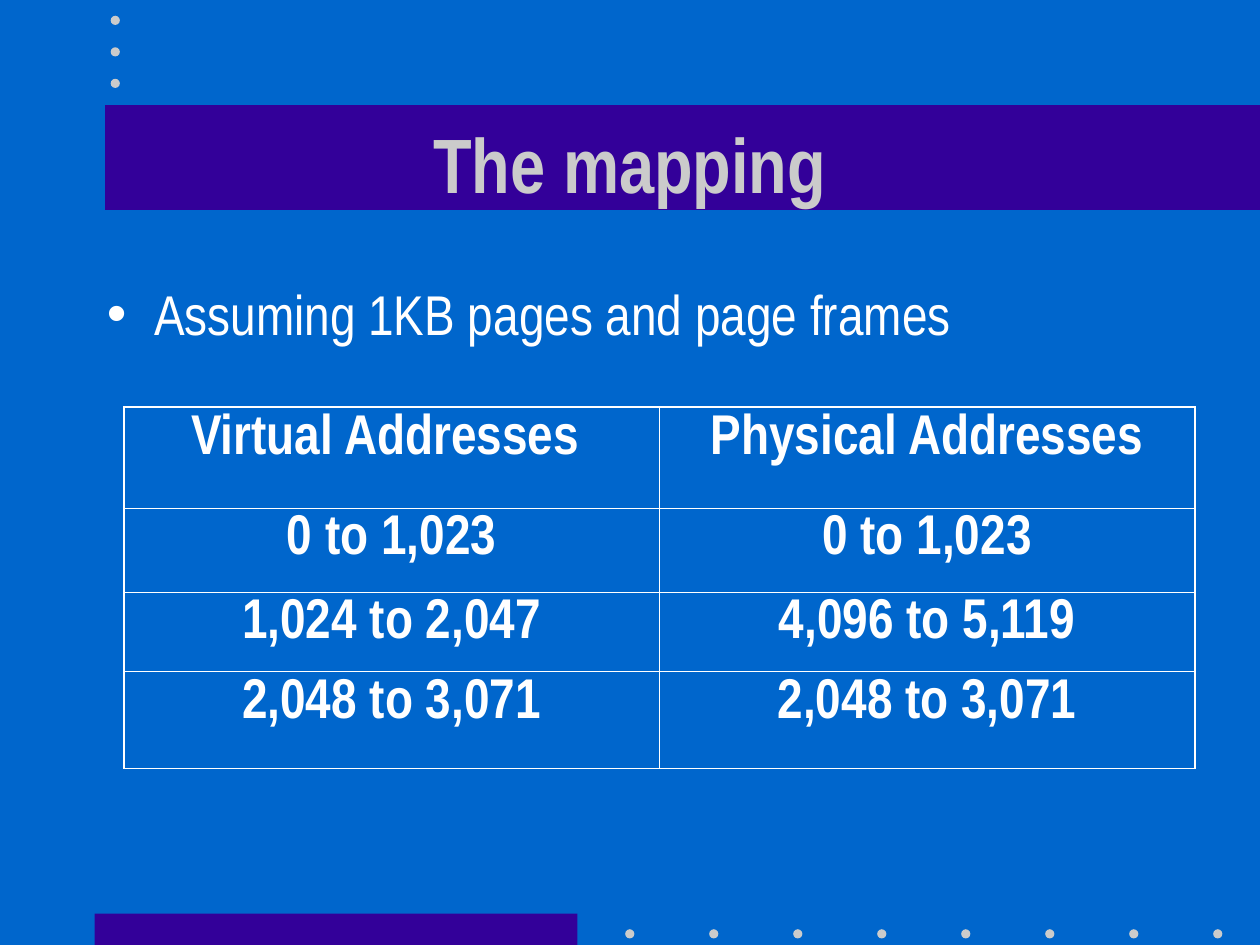
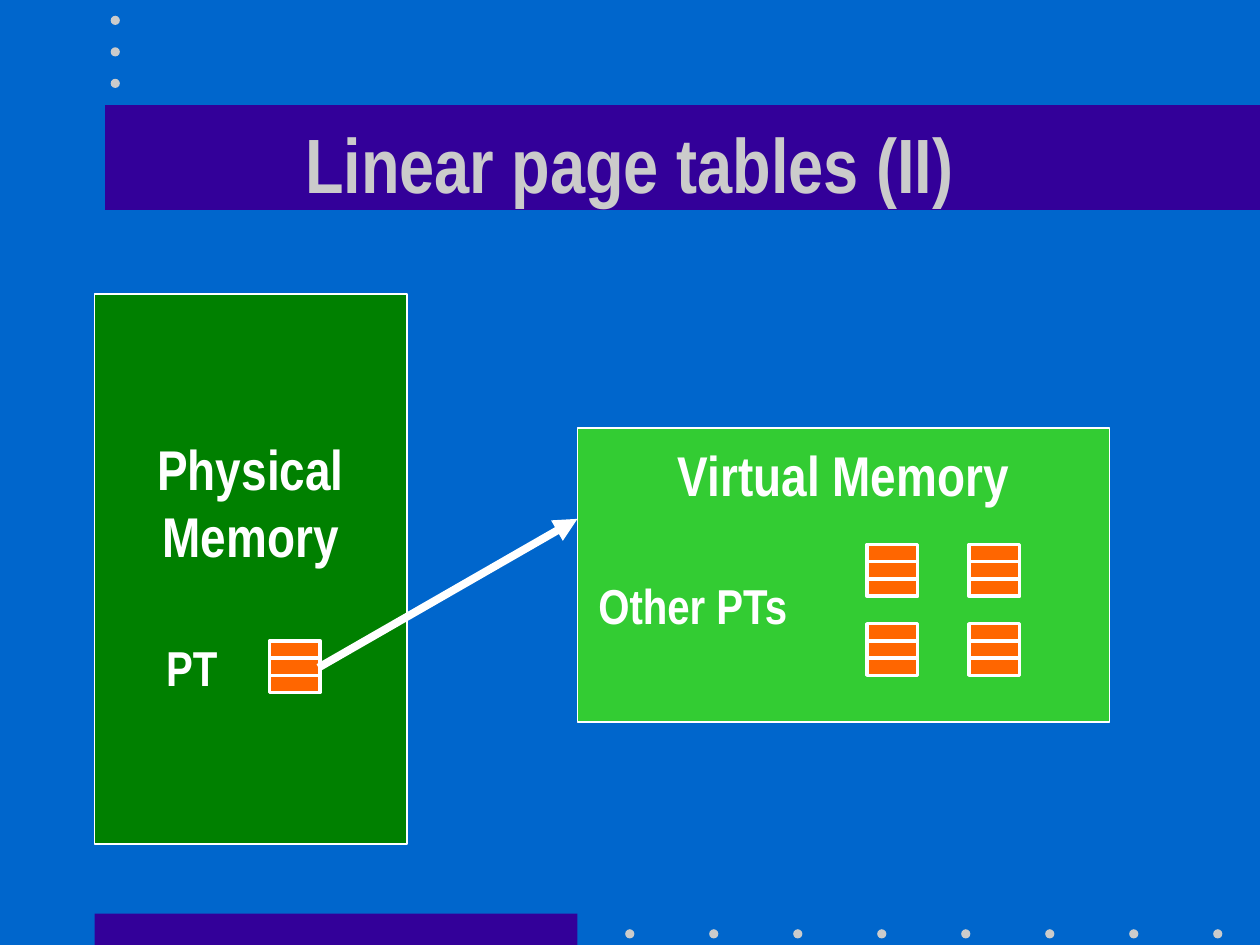
import pptx
import pptx.util
import pptx.dml.color
import pptx.enum.shapes
import pptx.enum.text
import pptx.oxml
import pptx.oxml.ns
import lxml.etree

Pt = pptx.util.Pt
rgb = pptx.dml.color.RGBColor.from_string
qn = pptx.oxml.ns.qn
MSO = pptx.enum.shapes.MSO_SHAPE
ALIGN = pptx.enum.text.PP_ALIGN
ANCHOR = pptx.enum.text.MSO_ANCHOR
FIT = pptx.enum.text.MSO_AUTO_SIZE

FONT = "Arial Narrow"
BLUE, INDIGO, GREY, WHITE = "0066CC", "330099", "CBCBCB", "FFFFFF"
GREEN, LIME, ORANGE = "008000", "33CC33", "FF6600"


def box(slide, kind, left, top, width, height, fill, edge=0):
    """Add a filled shape; edge is the width of its white outline, 0 for none."""
    shape = slide.shapes.add_shape(kind, Pt(left), Pt(top), Pt(width), Pt(height))
    shape.shadow.inherit = False
    shape.fill.solid()
    shape.fill.fore_color.rgb = rgb(fill)
    if edge:
        shape.line.color.rgb = rgb(WHITE)
        shape.line.width = Pt(edge)
    else:
        shape.line.fill.background()
    return shape


def write(frame, text, size=32, color=WHITE, bold=True, align=ALIGN.CENTER,
          before=0, anchor=ANCHOR.TOP, wrap=True):
    frame.word_wrap = wrap
    frame.vertical_anchor = anchor
    para = frame.paragraphs[0]
    para.text = text
    para.alignment = align
    para.space_before = Pt(before)
    for run in para.runs:
        run.font.name = FONT
        run.font.size = Pt(size)
        run.font.bold = bold
        run.font.color.rgb = rgb(color)
    return para


deck = pptx.Presentation()
deck.slide_width, deck.slide_height = Pt(720), Pt(540)
back = deck.slide_master.background.fill
back.solid()
back.fore_color.rgb = rgb(BLUE)
layout = deck.slide_layouts[5]

slides = []
for name in ("The mapping", "Linear page tables (II)"):
    slide = deck.slides.add_slide(layout)
    title = slide.shapes.title
    title.left, title.top, title.width, title.height = Pt(54), Pt(48), Pt(612), Pt(90)
    write(title.text_frame, name, size=44, color=GREY, anchor=ANCHOR.MIDDLE)
    title.text_frame.auto_size = FIT.NONE
    slides.append(slide)
mapping, linear = slides

# Bands and dots go behind the title, on the layout both slides share
dots = [(357.25 + 48 * n, 531) for n in range(8)] + [(63.25, 9 + 18 * n) for n in range(3)]
decor = [box(mapping, MSO.RECTANGLE, 54, 522, 276, 18, INDIGO),
         box(mapping, MSO.RECTANGLE, 60, 60, 660, 60, INDIGO)]
decor += [box(mapping, MSO.OVAL, x, y, 5.25, 5.25, GREY) for x, y in dots]
for n, shape in enumerate(decor):
    shape.element.nvSpPr.cNvPr.id = 100 + n
    layout.shapes.element.insert(2 + n, shape.element)

# Slide 1: bullet and address table
body = mapping.shapes.add_textbox(Pt(54), Pt(156), Pt(612), Pt(60))
para = write(body.text_frame, "Assuming 1KB pages and page frames", bold=False,
             align=ALIGN.LEFT, before=8)
props = para._p.get_or_add_pPr()
props.set("marL", str(Pt(27)))
props.set("indent", str(Pt(-27)))
lxml.etree.SubElement(props, qn("a:buFont")).set("typeface", "Arial")
lxml.etree.SubElement(props, qn("a:buChar")).set("char", "•")

rows = [("Virtual Addresses ", "Physical Addresses"),
        ("0 to 1,023", "0 to 1,023"),
        ("1,024 to 2,047", "4,096 to 5,119"),
        ("2,048 to 3,071", "2,048 to 3,071")]
highs = [57.6, 48, 45.3, 55.3]
table = mapping.shapes.add_table(len(rows), 2, Pt(70.8), Pt(232.6), Pt(612), Pt(sum(highs))).table
table.first_row = table.horz_banding = False
for r, (row, high) in enumerate(zip(rows, highs)):
    table.rows[r].height = Pt(high)
    for c, text in enumerate(row):
        cell = table.cell(r, c)
        write(cell.text_frame, text, before=8)
        props = cell._tc.get_or_add_tcPr()
        outer = {"L": c == 0, "R": c == 1, "T": r == 0, "B": r == len(rows) - 1}
        for side, thick in outer.items():
            line = lxml.etree.SubElement(props, qn("a:ln" + side))
            line.set("w", str(Pt(1.08 if thick else 0.45)))
            fill = lxml.etree.SubElement(line, qn("a:solidFill"))
            lxml.etree.SubElement(fill, qn("a:srgbClr")).set("val", WHITE)
        cell.fill.background()

# Slide 2: memories, page tables and the arrow between them
real = box(linear, MSO.RECTANGLE, 54, 168, 178.5, 314.5, GREEN, 1)
write(real.text_frame, "Physical\vMemory", anchor=ANCHOR.MIDDLE)
real.text_frame.margin_bottom = Pt(81)
virtual = box(linear, MSO.RECTANGLE, 330, 244.6, 304, 168, LIME, 1)
write(virtual.text_frame, "Virtual Memory", anchor=ANCHOR.MIDDLE)
virtual.text_frame.margin_bottom = Pt(119)

spots = [(154, 366.2)] + [(x, y) for x in (495.4, 553.7) for y in (311.2, 356.4)]
for x, y in spots:
    box(linear, MSO.RECTANGLE, x, y, 29, 29.5, ORANGE, 2)
    box(linear, MSO.RECTANGLE, x, y + 9.75, 29, 10, ORANGE, 2)

arrow = linear.shapes.add_connector(pptx.enum.shapes.MSO_CONNECTOR.STRAIGHT,
                                    Pt(182), Pt(381.5), Pt(330), Pt(296.5))
arrow.line.color.rgb = rgb(WHITE)
arrow.line.width = Pt(4.5)
props = arrow.element.spPr
lxml.etree.SubElement(props.find(qn("a:ln")), qn("a:tailEnd")).set("type", "triangle")
lxml.etree.SubElement(props, qn("a:effectLst"))

for text, x, y, wide in (("PT", 87.8, 360.7, 43.5), ("Other PTs", 334.8, 325.5, 123.8)):
    label = linear.shapes.add_textbox(Pt(x), Pt(y), Pt(wide), Pt(41))
    write(label.text_frame, text, size=28, align=ALIGN.LEFT, wrap=False)
    label.text_frame.auto_size = FIT.SHAPE_TO_FIT_TEXT

deck.save("out.pptx")
